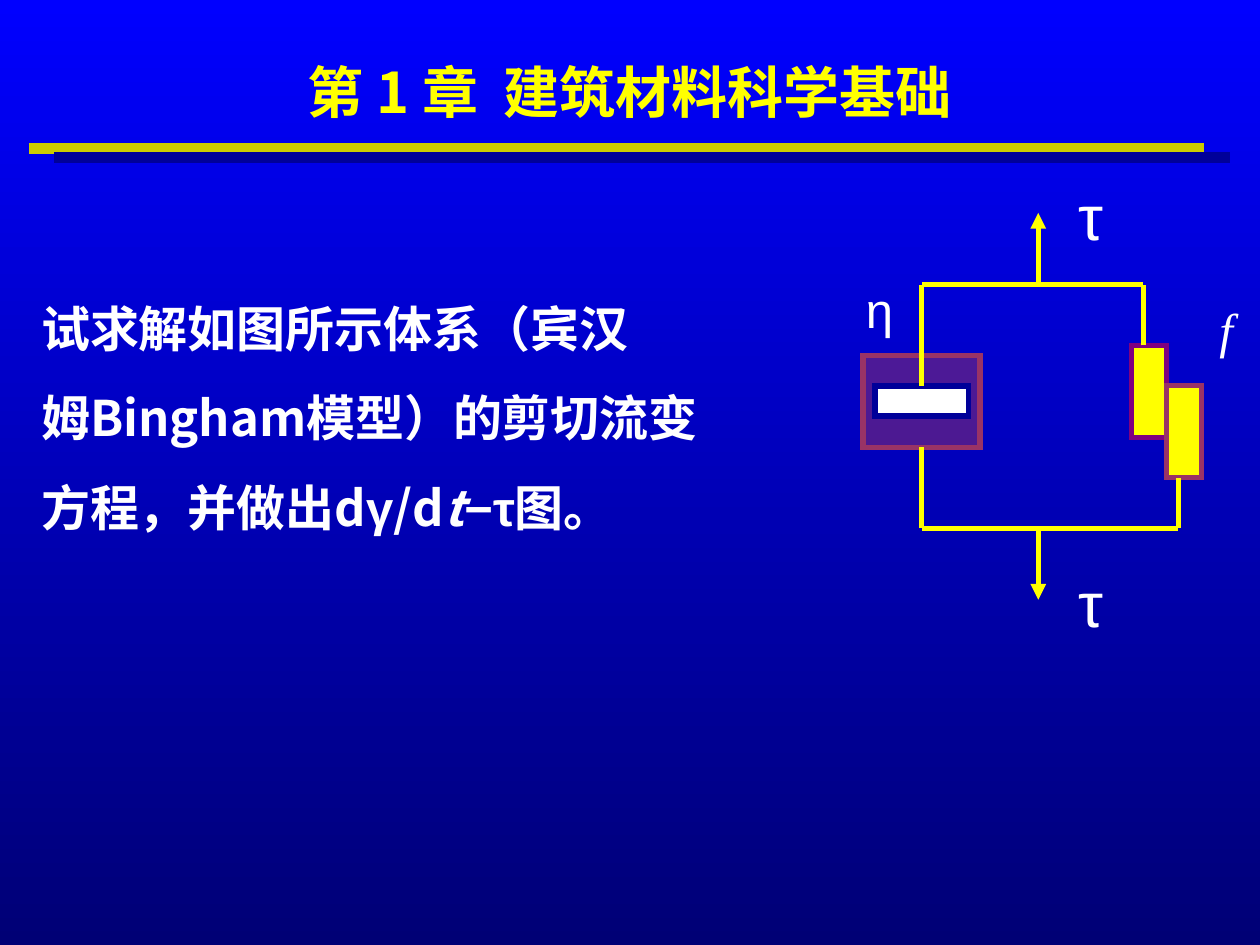
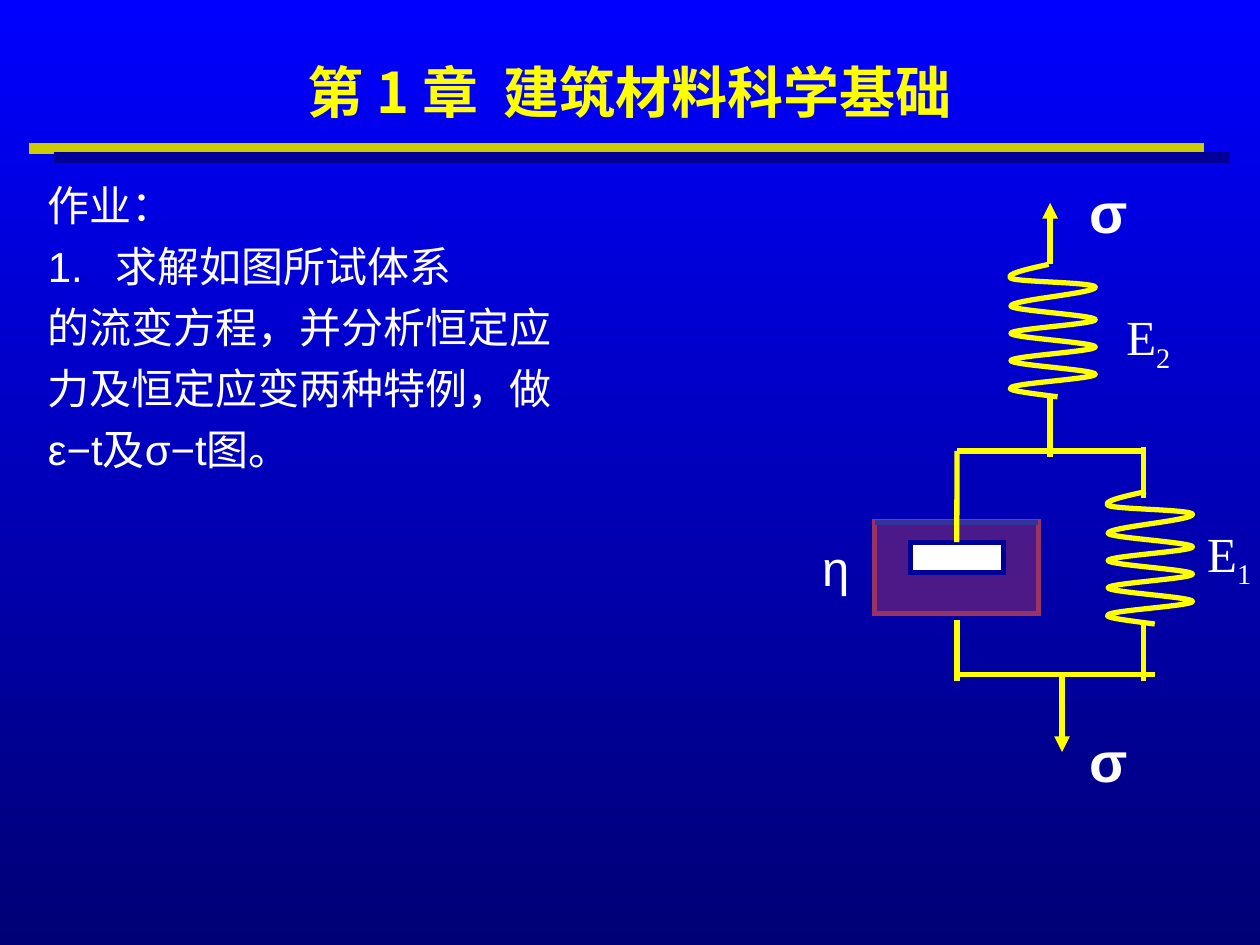
"""Build two slides on rheological models: the Bingham body and a homework model."""
from dataclasses import dataclass

from lxml import etree
from pptx import Presentation
from pptx.dml.color import RGBColor
from pptx.enum.shapes import MSO_CONNECTOR, MSO_SHAPE
from pptx.enum.text import MSO_ANCHOR, MSO_AUTO_SIZE, PP_ALIGN
from pptx.oxml.ns import qn
from pptx.util import Cm, Pt

STRAIGHT = MSO_CONNECTOR.STRAIGHT
RECTANGLE = MSO_SHAPE.RECTANGLE
MIDDLE = MSO_ANCHOR.MIDDLE
TOP = MSO_ANCHOR.TOP
CENTER = PP_ALIGN.CENTER
LEFT = PP_ALIGN.LEFT
NO_FIT = MSO_AUTO_SIZE.NONE
TOP_SIDE, BOTTOM_SIDE = 0, 2


@dataclass(frozen=True)
class Theme:
    """Colours, fonts, type sizes and line widths of the deck."""
    sky: str = "0000FF"
    deep: str = "000075"
    gold: str = "CCCC00"
    navy: str = "000099"
    yellow: str = "FFFF00"
    white: str = "FFFFFF"
    plum: str = "993366"
    purple: str = "800080"
    indigo: str = "333399"
    sans: str = "Arial"
    serif: str = "Times New Roman"
    cjk: str = "Noto Sans CJK SC"
    title: int = 32
    question: int = 28
    body: int = 24
    symbol: int = 28
    strain: int = 32
    stress: int = 36
    rule: int = 6
    wire: int = 3


@dataclass(frozen=True)
class Box:
    """A region of the slide in centimetres."""
    left: float
    top: float
    width: float
    height: float

    def lengths(self):
        """Return the four sides as lengths."""
        return Cm(self.left), Cm(self.top), Cm(self.width), Cm(self.height)


THEME = Theme()
SLIDE = Box(0, 0, 25.4, 19.05)
TITLE_BOX = Box(1.9, 0.97, 21.6, 1.73)
QUESTION_BOX = Box(0.58, 5.87, 14.3, 5.08)
HOMEWORK_BOX = Box(0.71, 3.5, 23.98, 13)
BINGHAM_BOX = Box(17.17, 3.45, 8.05, 9.56)
HOMEWORK_MODEL_BOX = Box(16.31, 3.45, 9.07, 12.7)
TITLE_RUNS = [("第 1 章", {}), (" ", {"spacing": 700}), ("建筑材料科学基础", {})]


def color(code):
    """Return the colour for a hex code."""
    return RGBColor.from_string(code)


def write(paragraph, runs, size, font, ink=THEME.white, bold=False):
    """Fill a paragraph with (text, changes) runs."""
    for text, changes in runs:
        run = paragraph.add_run()
        run.text = text
        run.font.size = Pt(size)
        run.font.name = changes.get("font", font)
        run.font.bold = bold
        run.font.italic = changes.get("italic", False)
        run.font.color.rgb = color(ink)
        properties = run._r.get_or_add_rPr()
        east_asian = etree.SubElement(properties, qn("a:ea"))
        east_asian.set("typeface", THEME.cjk)
        if "spacing" in changes:
            properties.set("spc", str(changes["spacing"]))
        if "baseline" in changes:
            properties.set("baseline", str(changes["baseline"]))


def prepare(frame, anchor, wrap=True):
    """Set the anchor and wrapping of a text frame."""
    frame.auto_size = NO_FIT
    frame.vertical_anchor = anchor
    frame.word_wrap = wrap


def place(shape, box):
    """Move a placeholder to a box."""
    shape.left, shape.top, shape.width, shape.height = box.lengths()


def draw_line(slide, start, end, ink, width, arrow=False):
    """Draw a straight line, with an arrowhead at its end on request."""
    line = slide.shapes.add_connector(STRAIGHT, *map(Cm, start + end))
    line.line.color.rgb = color(ink)
    line.line.width = Pt(width)
    properties = line.element.spPr
    if arrow:
        etree.SubElement(properties.find(qn("a:ln")), qn("a:tailEnd")).set("type", "triangle")
    etree.SubElement(properties, qn("a:effectLst"))
    return line


def bend(coil):
    """Turn each three segments of an outline into one cubic curve."""
    outline = next(coil.element.iter(qn("a:path")))
    segments = outline.findall(qn("a:lnTo"))
    for i in range(0, len(segments), 3):
        curve = etree.SubElement(outline, qn("a:cubicBezTo"))
        for segment in segments[i:i + 3]:
            curve.append(segment[0])
            outline.remove(segment)


class Diagram:
    """Circuit parts placed in centimetres relative to a box."""

    def __init__(self, slide, box):
        """Remember the slide and the box."""
        self.slide, self.box = slide, box

    def at(self, x, y):
        """Return the slide position of a point in the box."""
        return self.box.left + x, self.box.top + y

    def wire(self, x1, y1, x2, y2, ink=THEME.yellow, arrow=False):
        """Draw a wire between two points."""
        return draw_line(self.slide, self.at(x1, y1), self.at(x2, y2), ink, THEME.wire, arrow)

    def block(self, x, y, width, height, fill, edge, alpha=None):
        """Draw a bordered rectangle with sharp corners."""
        shape = self.slide.shapes.add_shape(
            RECTANGLE, *Box(*self.at(x, y), width, height).lengths())
        shape.shadow.inherit = False
        shape.fill.solid()
        shape.fill.fore_color.rgb = color(fill)
        shape.line.color.rgb = color(edge)
        shape.line.width = Pt(THEME.wire)
        properties = shape.element.spPr
        etree.SubElement(properties.find(qn("a:ln")), qn("a:miter")).set("lim", "800000")
        if alpha:
            tint = properties.find(qn("a:solidFill")).find(qn("a:srgbClr"))
            etree.SubElement(tint, qn("a:alpha")).set("val", str(alpha * 1000))
        return shape

    def dashpot(self, x, y, width, piston_x, piston_y):
        """Draw a dashpot and its piston, and return both."""
        cup = self.block(x, y, width, 1.86, THEME.plum, THEME.plum, alpha=50)
        piston = self.block(piston_x, piston_y, 1.88, 0.61, THEME.white, THEME.navy)
        return cup, piston

    def spring(self, x, y):
        """Draw a coil spring that hangs from a point."""
        left, right, pitch = -0.76, 0.94, 0.275
        points = [(-0.46, 0.1), (-0.89, 0.2), (left, 0.28),
                  (-0.61, 0.36), (right, 0.36), (right, 0.46)]
        turns = [(right, 0.46)]
        turns += [(right if i % 2 else left, 0.84 + pitch * i) for i in range(7)]
        for (x0, y0), (x1, y1) in zip(turns, turns[1:]):
            third = (y1 - y0) / 3
            points += [(x0, y0 + third), (x1, y1 - third), (x1, y1)]
        points += [(-0.86, 2.54), (-0.36, 2.6), (0.18, 2.67)]
        outline = self.slide.shapes.build_freeform(*map(Cm, self.at(x, y)))
        outline.add_line_segments(
            [tuple(map(Cm, self.at(x + dx, y + dy))) for dx, dy in points], close=False)
        coil = outline.convert_to_shape()
        bend(coil)
        coil.shadow.inherit = False
        coil.fill.background()
        coil.line.color.rgb = color(THEME.yellow)
        coil.line.width = Pt(THEME.wire)

    def label(self, x, y, runs, size=THEME.symbol, font=THEME.sans, bold=False):
        """Write a symbol centred on a point."""
        width, height = 1.2, size * 0.05
        left, top = self.at(x - width / 2, y - height / 2)
        frame = self.slide.shapes.add_textbox(
            *Box(left, top, width, height).lengths()).text_frame
        prepare(frame, MIDDLE, wrap=False)
        frame.paragraphs[0].alignment = CENTER
        write(frame.paragraphs[0], runs, size, font, bold=bold)


def paint_background(master):
    """Give the master its vertical gradient."""
    fill = master.background.fill
    fill.gradient()
    fill.gradient_angle = 270
    for stop, ink, position in zip(fill.gradient_stops, (THEME.sky, THEME.deep), (0, 1)):
        stop.color.rgb = color(ink)
        stop.position = position


def add_rules(master, slide):
    """Draw the gold rule and its navy shade, and move them to the master."""
    for i, (x, y, ink) in enumerate(((0.58, 2.99, THEME.gold), (1.09, 3.18, THEME.navy))):
        rule = draw_line(slide, (x, y), (x + 23.7, y), ink, THEME.rule).element
        rule.nvCxnSpPr.cNvPr.set("id", str(100 + i))
        master.shapes.element.insert(2 + i, rule)


def add_titled_slide(deck, layout_index):
    """Add a slide with the chapter title."""
    slide = deck.slides.add_slide(deck.slide_layouts[layout_index])
    title = slide.shapes.title
    place(title, TITLE_BOX)
    prepare(title.text_frame, MIDDLE)
    heading = title.text_frame.paragraphs[0]
    heading.alignment = CENTER
    write(heading, TITLE_RUNS, THEME.title, THEME.cjk, THEME.yellow, bold=True)
    return slide


def add_question(slide, box):
    """Write the Bingham question."""
    lines = [
        [("试求解如图所示体系（宾汉", {})],
        [("姆Bingham模型）的剪切流变", {})],
        [("方程，并做出d", {}), ("γ", {"font": THEME.sans}), ("/d", {}),
         ("t", {"italic": True}), ("−τ", {"font": THEME.sans}), ("图。", {})],
    ]
    frame = slide.shapes.add_textbox(*box.lengths()).text_frame
    prepare(frame, MIDDLE, wrap=False)
    for i, runs in enumerate(lines):
        paragraph = frame.add_paragraph() if i else frame.paragraphs[0]
        paragraph.space_before = Pt(17.5 if i else 0)
        write(paragraph, runs, THEME.question, THEME.cjk, bold=True)


def add_homework(slide, box):
    """Write the homework in the body placeholder."""
    lines = ["作业：", "1.\t求解如图所试体系", "的流变方程，并分析恒定应",
             "力及恒定应变两种特例，做", "ε−t及σ−t图。"]
    body = slide.placeholders[1]
    place(body, box)
    prepare(body.text_frame, TOP)
    for i, line in enumerate(lines):
        paragraph = body.text_frame.add_paragraph() if i else body.text_frame.paragraphs[0]
        hanging = Cm(1.37) if "\t" in line else 0
        properties = paragraph._p.get_or_add_pPr()
        properties.set("marL", str(hanging))
        properties.set("indent", str(-hanging))
        etree.SubElement(properties, qn("a:buNone"))
        paragraph.alignment = LEFT
        paragraph.space_before = Pt(6 if i else 0)
        write(paragraph, [(line, {})], THEME.body, THEME.sans)


def draw_bingham_model(slide, box):
    """Draw a dashpot parallel to a friction slider."""
    model = Diagram(slide, box)
    dashpot_x, stress_x, upper_x, lower_x = 1.41, 3.76, 5.88, 6.58
    top, bottom = 2.29, 7.2
    cup, piston = model.dashpot(0.23, 3.71, 2.36, 0.47, 4.33)
    model.wire(dashpot_x, top, dashpot_x, 4.33).end_connect(piston, TOP_SIDE)
    model.wire(dashpot_x, bottom, dashpot_x, 5.57).end_connect(cup, BOTTOM_SIDE)
    for x, y, edge in ((5.64, 3.51, THEME.purple), (6.35, 4.32, THEME.plum)):
        model.block(x, y, 0.71, 1.86, THEME.yellow, edge)
    model.wire(upper_x, 3.51, upper_x, top)
    model.wire(lower_x, bottom, lower_x, 6.18)
    model.wire(upper_x, top, dashpot_x, top)
    model.wire(dashpot_x, bottom, lower_x, bottom)
    model.wire(stress_x, top, stress_x, 0.84, arrow=True)
    model.wire(stress_x, bottom, stress_x, 8.64, arrow=True)
    model.label(0.56, 2.78, [("η", {})])
    model.label(7.55, 3.19, [("f", {"italic": True})], font=THEME.serif)
    for y in (0.89, 8.69):
        model.label(4.83, y, [("τ", {})], THEME.stress)


def draw_homework_model(slide, box):
    """Draw a spring in series with a parallel spring and dashpot."""
    model = Diagram(slide, box)
    dashpot_x, upper_x, lower_x, spring_x = 2.98, 4.86, 5.1, 6.74
    top, bottom = 5.64, 10.14
    model.spring(6.79, 6.46)
    piston = model.dashpot(1.32, 7.06, 3.3, 2.04, 7.48)[1]
    model.wire(1.32, 7.08, 4.62, 7.08, THEME.indigo)
    model.wire(dashpot_x, top, dashpot_x, 7.48).end_connect(piston, TOP_SIDE)
    model.wire(dashpot_x, top, spring_x, top)
    model.wire(dashpot_x, bottom, 6.98, bottom)
    for x in (dashpot_x, spring_x):
        model.wire(x, 9.05, x, 10.27)
    model.spring(4.83, 1.88)
    model.wire(upper_x, 4.55, upper_x, 5.77)
    model.wire(spring_x, 5.57, spring_x, 6.58)
    model.wire(upper_x, 1.88, upper_x, 0.64, arrow=True)
    model.wire(lower_x, bottom, lower_x, 11.71, arrow=True)
    for y in (0.8, 11.87):
        model.label(6.04, y, [("σ", {})], THEME.strain, bold=True)
    for x, y, number in ((8.47, 7.78, "1"), (6.84, 3.41, "2")):
        model.label(x, y, [("E", {}), (number, {"baseline": -25000})], font=THEME.serif)
    model.label(0.54, 7.97, [("η", {})])


def main():
    """Build and save the deck."""
    deck = Presentation()
    deck.slide_width, deck.slide_height = Cm(SLIDE.width), Cm(SLIDE.height)
    paint_background(deck.slide_master)
    bingham = add_titled_slide(deck, 5)
    add_rules(deck.slide_master, bingham)
    draw_bingham_model(bingham, BINGHAM_BOX)
    add_question(bingham, QUESTION_BOX)
    homework = add_titled_slide(deck, 1)
    add_homework(homework, HOMEWORK_BOX)
    draw_homework_model(homework, HOMEWORK_MODEL_BOX)
    deck.save("out.pptx")


if __name__ == "__main__":
    main()
